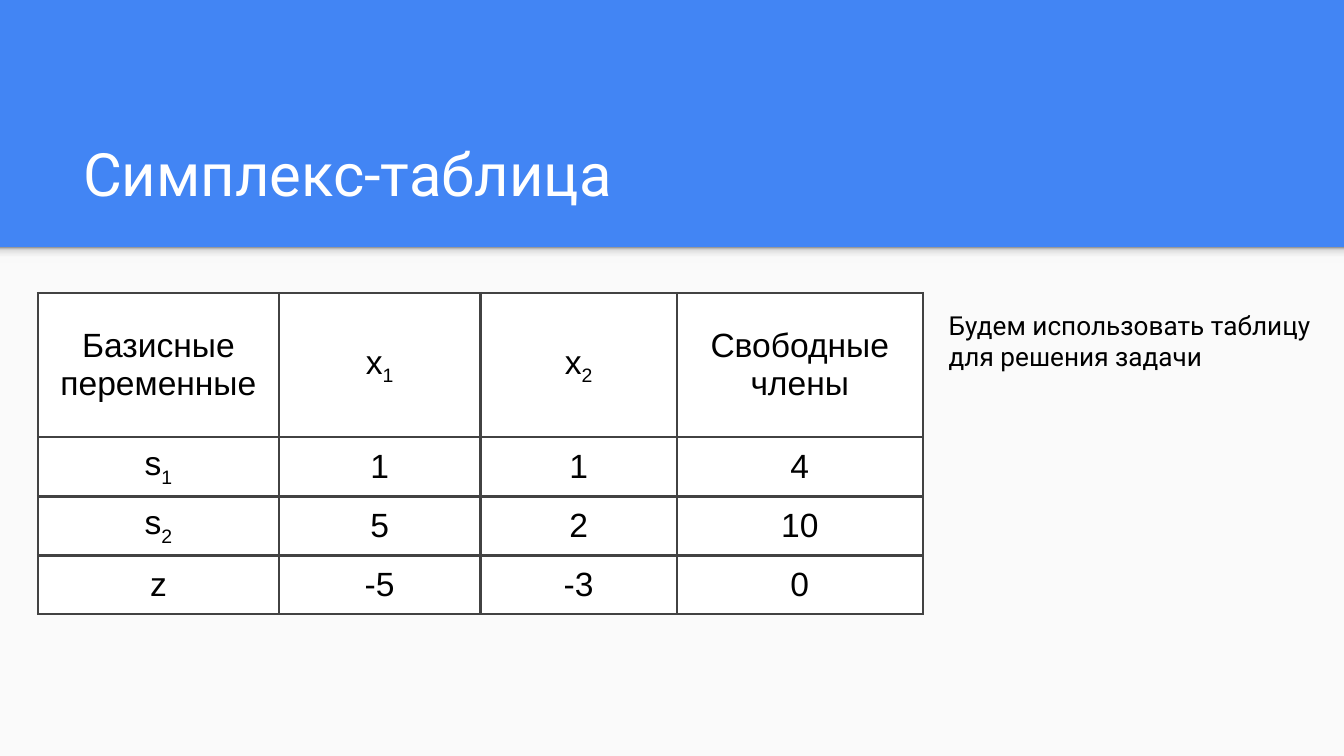
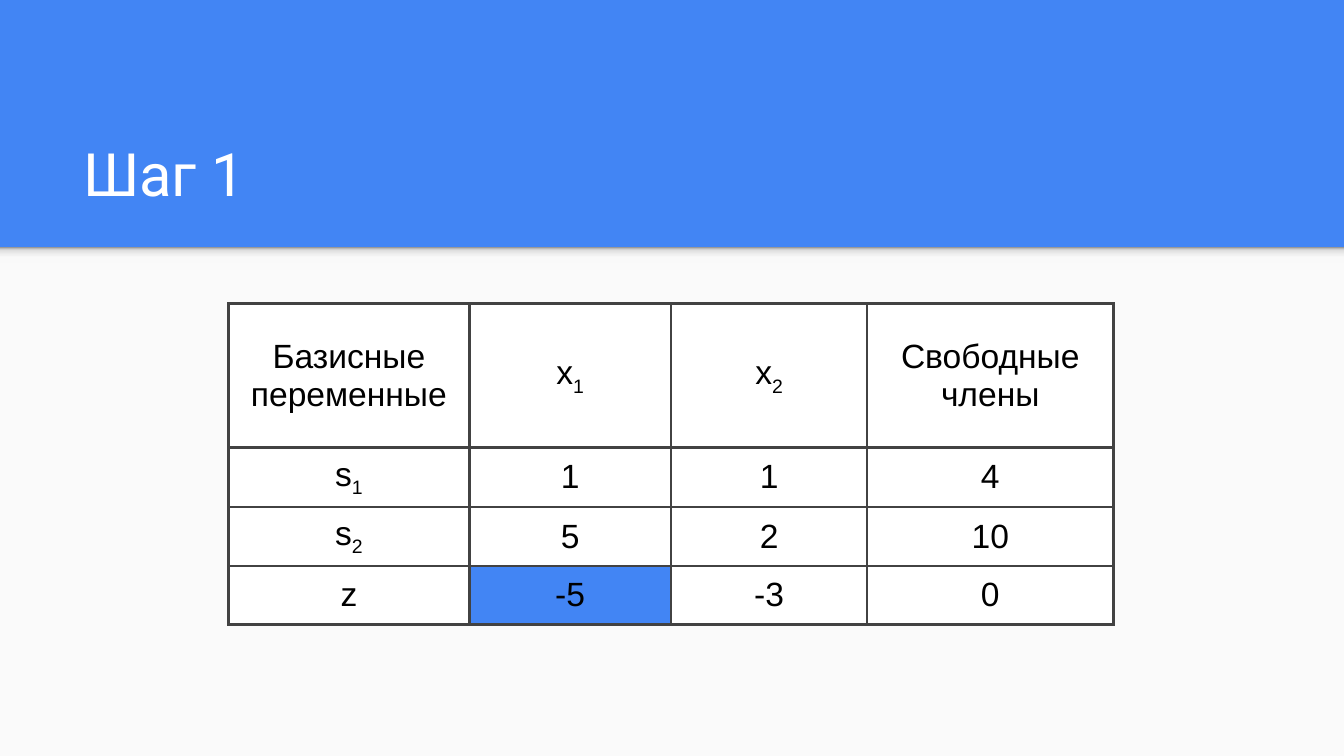
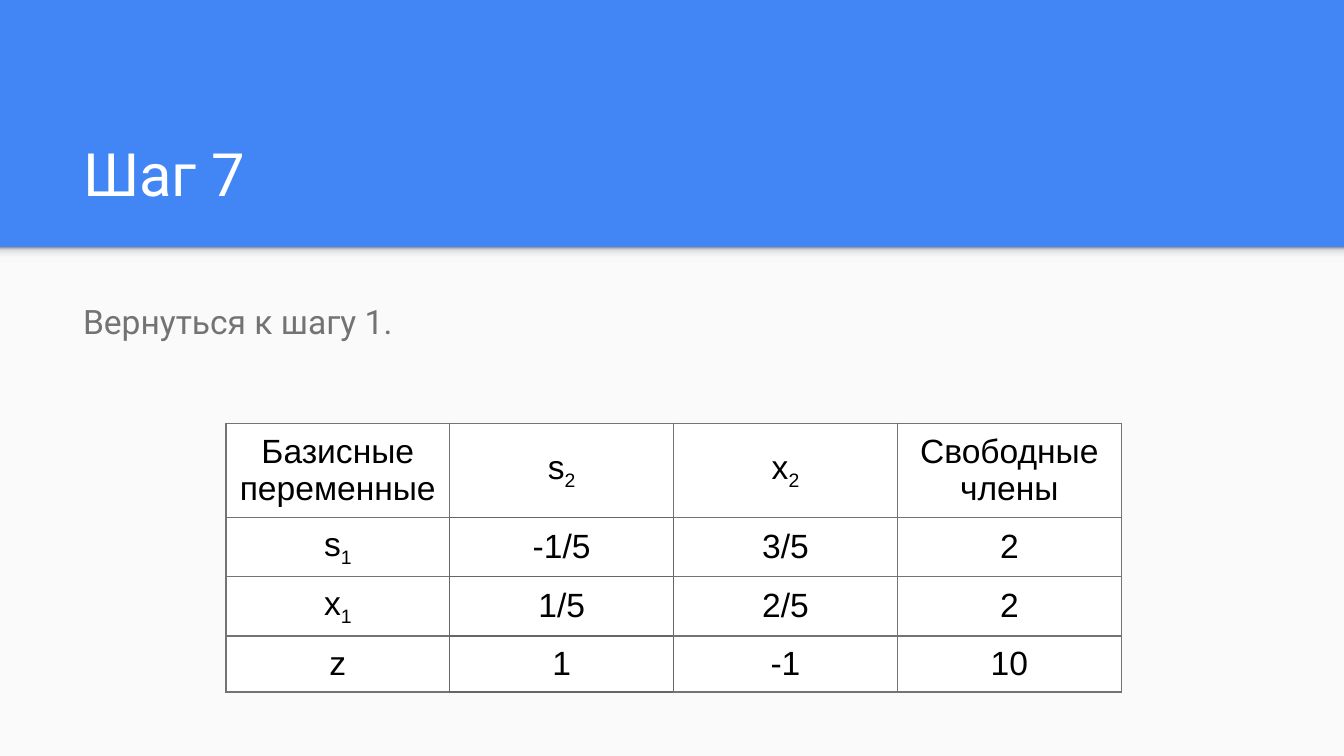
from copy import deepcopy

from lxml.etree import SubElement
from pptx import Presentation
from pptx.dml.color import RGBColor
from pptx.enum.shapes import MSO_SHAPE as Preset
from pptx.enum.text import MSO_ANCHOR as Anchor, PP_ALIGN as Align
from pptx.oxml.ns import qn
from pptx.util import Cm, Pt

BLUE = RGBColor(0x42, 0x85, 0xF4)
PAPER = RGBColor(0xFA, 0xFA, 0xFA)
WHITE = RGBColor(0xFF, 0xFF, 0xFF)
BLACK = RGBColor(0x00, 0x00, 0x00)
CHARCOAL = RGBColor(0x42, 0x42, 0x42)
GRAY = RGBColor(0x73, 0x73, 0x73)
DARK_GRAY = RGBColor(0x66, 0x66, 0x66)
BAND_STOPS = [
    (0, RGBColor(0xF9, 0xF9, 0xF9)),
    (0.36, RGBColor(0xF9, 0xF9, 0xF9)),
    (0.8, RGBColor(0xDE, 0xDE, 0xDE)),
    (1, RGBColor(0x99, 0x99, 0x99)),
]

SLIDE_WIDTH, SLIDE_HEIGHT = Cm(25.4), Cm(14.29)
HEADER_HEIGHT = Cm(4.67)
CONTENT_LEFT, CONTENT_WIDTH = Cm(1.32), Cm(22.83)
INSET = Cm(0.25)

TITLE_FONT = {"size": Pt(32), "name": "Roboto"}
NOTE_FONT = {"size": Pt(14), "name": "Roboto"}
BODY_FONT = {"size": Pt(18), "name": "Roboto"}
CELL_FONT = {"size": Pt(18), "name": "Arial", "bold": False}
BODY_SPACING = {"line_spacing": 1.15, "space_after": Pt(12)}
BOX_FORMAT = {
    "word_wrap": True,
    "margin_left": INSET,
    "margin_right": INSET,
    "margin_top": INSET,
    "margin_bottom": INSET,
}

# Border tag -> offset (row, column) of the cell across that border
EDGES = {"a:lnL": (0, -1), "a:lnR": (0, 1), "a:lnT": (-1, 0), "a:lnB": (1, 0)}

START_TABLEAU = [
    ["Базисные переменные", "x_1", "x_2", "Свободные члены"],
    ["s_1", "1", "1", "4"],
    ["s_2", "5", "2", "10"],
    ["z", "-5", "-3", "0"],
]
NEXT_TABLEAU = [
    ["Базисные переменные", "s_2", "x_2", "Свободные члены"],
    ["s_1", "-1/5", "3/5", "2"],
    ["x_1", "1/5", "2/5", "2"],
    ["z", "1", "-1", "10"],
]
START_SIZES = {
    "widths": [Cm(4.55), Cm(3.81), Cm(3.71), Cm(4.65)],
    "heights": [Cm(2.72)] + [Cm(1.1)] * 3,
}
NEXT_SIZES = {
    "widths": [Cm(4.23)] * 4,
    "heights": [Cm(1.69)] + [Cm(1.06)] * 3,
}


def set_format(target, values):
    for attribute, value in values.items():
        setattr(target, attribute, value)


def add_rectangle(slide, top, height):
    """Add a full-width rectangle without outline or shadow."""
    rectangle = slide.shapes.add_shape(Preset.RECTANGLE, 0, top, SLIDE_WIDTH, height)
    rectangle.shadow.inherit = False
    rectangle.line.fill.background()
    return rectangle


def add_panel(slide):
    """Add the light content area and the soft shade under the header."""
    panel = add_rectangle(slide, HEADER_HEIGHT, SLIDE_HEIGHT - HEADER_HEIGHT)
    panel.fill.solid()
    panel.fill.fore_color.rgb = PAPER

    band = add_rectangle(slide, HEADER_HEIGHT, Cm(0.3))
    band.fill.gradient()
    band.fill.gradient_angle = 90
    stops = band.element.spPr.find(qn("a:gradFill")).find(qn("a:gsLst"))
    while len(stops) < len(BAND_STOPS):
        stops.append(deepcopy(stops[0]))
    for stop, (position, color) in zip(band.fill.gradient_stops, BAND_STOPS):
        stop.position = position
        stop.color.rgb = color


def add_text(slide, text, place, font, color, anchor=Anchor.TOP, spacing=None):
    frame = slide.shapes.add_textbox(*place).text_frame
    set_format(frame, {**BOX_FORMAT, "vertical_anchor": anchor})
    paragraph = frame.paragraphs[0]
    set_format(paragraph, spacing or {})
    run = paragraph.add_run()
    run.text = text
    set_format(run.font, font)
    run.font.color.rgb = color


def add_titled_slide(prs, title):
    slide = prs.slides.add_slide(prs.slide_layouts[6])
    slide.background.fill.solid()
    slide.background.fill.fore_color.rgb = BLUE
    add_panel(slide)
    title_place = (CONTENT_LEFT, Cm(2.06), CONTENT_WIDTH, Cm(2.13))
    add_text(slide, title, title_place, TITLE_FONT, WHITE, Anchor.BOTTOM)
    return slide


def write_cell(cell, text):
    """Write the text; what follows an underscore becomes a subscript."""
    cell.vertical_anchor = Anchor.MIDDLE
    paragraph = cell.text_frame.paragraphs[0]
    paragraph.alignment = Align.CENTER
    for index, part in enumerate(text.split("_")):
        run = paragraph.add_run()
        run.text = part
        set_format(run.font, CELL_FONT)
        run.font.color.rgb = BLACK
        if index:
            run.font._element.set("baseline", "-25000")


def add_border(cell, edge, color, width):
    properties = cell._tc.get_or_add_tcPr()
    line = SubElement(properties, qn(edge), w=str(width))
    fill = SubElement(line, qn("a:solidFill"))
    SubElement(fill, qn("a:srgbClr"), val=str(color))


def add_tableau(slide, left, top, rows, sizes, border, width,
                highlighted=(), dark_edged=()):
    """Add a simplex table; cells are picked out by (row, column)."""
    widths, heights = sizes["widths"], sizes["heights"]
    table = slide.shapes.add_table(
        len(rows), len(widths), left, top, sum(widths), sum(heights)
    ).table
    set_format(table, {"first_row": False, "horz_banding": False})
    for column, column_width in zip(table.columns, widths):
        column.width = column_width
    for row, row_height in zip(table.rows, heights):
        row.height = row_height

    for r, values in enumerate(rows):
        for c, value in enumerate(values):
            cell = table.cell(r, c)
            write_cell(cell, value)
            for edge, (down, right) in EDGES.items():
                sides = {(r, c), (r + down, c + right)}
                color = DARK_GRAY if sides & set(dark_edged) else border
                add_border(cell, edge, color, width)
            cell.fill.solid()
            cell.fill.fore_color.rgb = BLUE if (r, c) in highlighted else WHITE


def main():
    prs = Presentation()
    prs.slide_width, prs.slide_height = SLIDE_WIDTH, SLIDE_HEIGHT

    intro = add_titled_slide(prs, "Симплекс-таблица")
    add_tableau(intro, Cm(0.72), Cm(5.54), START_TABLEAU, START_SIZES,
                CHARCOAL, Pt(1.5))
    add_text(intro, "Будем использовать таблицу для решения задачи",
             (Cm(17.68), Cm(5.59), Cm(7.52), Cm(6.15)), NOTE_FONT, BLACK)

    first_step = add_titled_slide(prs, "Шаг 1")
    add_tableau(first_step, Cm(4.32), Cm(5.74), START_TABLEAU, START_SIZES,
                CHARCOAL, Pt(1.5), highlighted=[(3, 1)])

    last_step = add_titled_slide(prs, "Шаг 7")
    add_text(last_step, "Вернуться к шагу 1.",
             (CONTENT_LEFT, Cm(5.33), CONTENT_WIDTH, Cm(7.52)),
             BODY_FONT, GRAY, spacing=BODY_SPACING)
    add_tableau(last_step, Cm(4.27), Cm(8), NEXT_TABLEAU, NEXT_SIZES,
                GRAY, Pt(0.75), dark_edged=[(1, 1), (2, 1), (3, 1)])

    prs.save("out.pptx")


if __name__ == "__main__":
    main()
